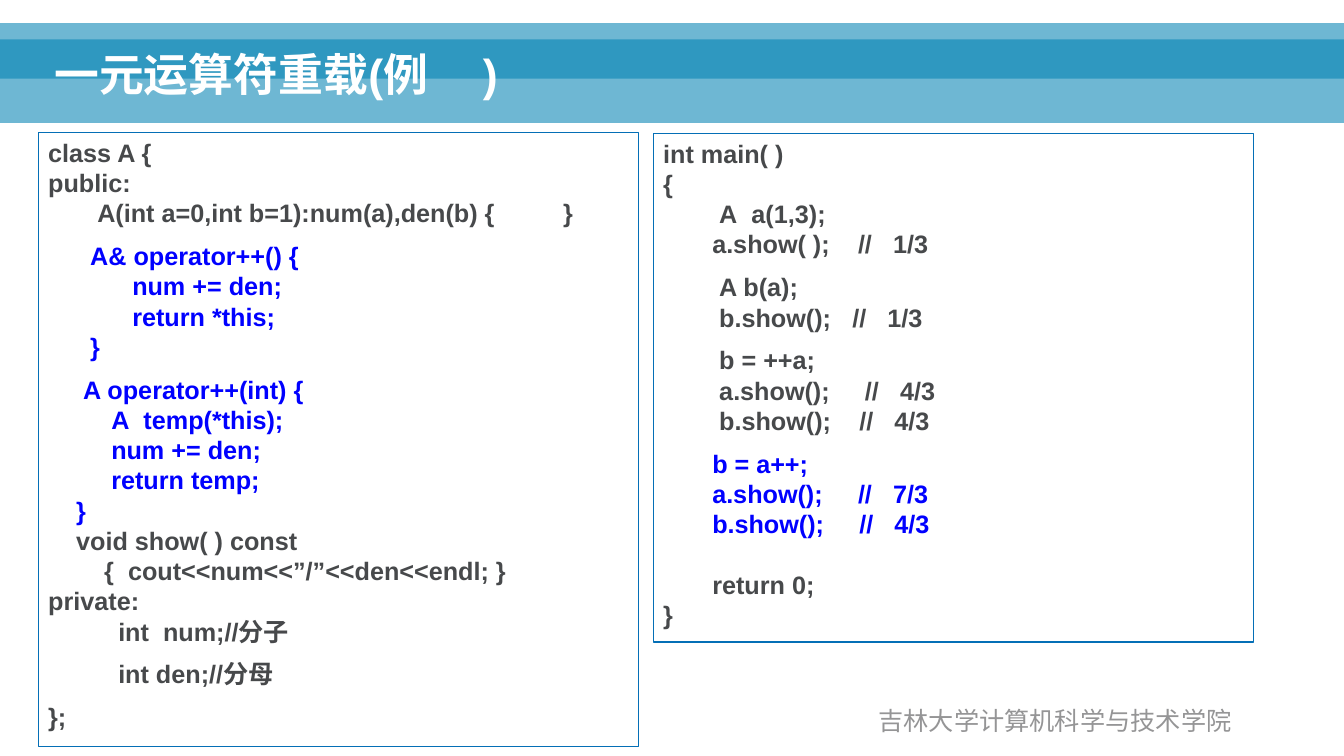
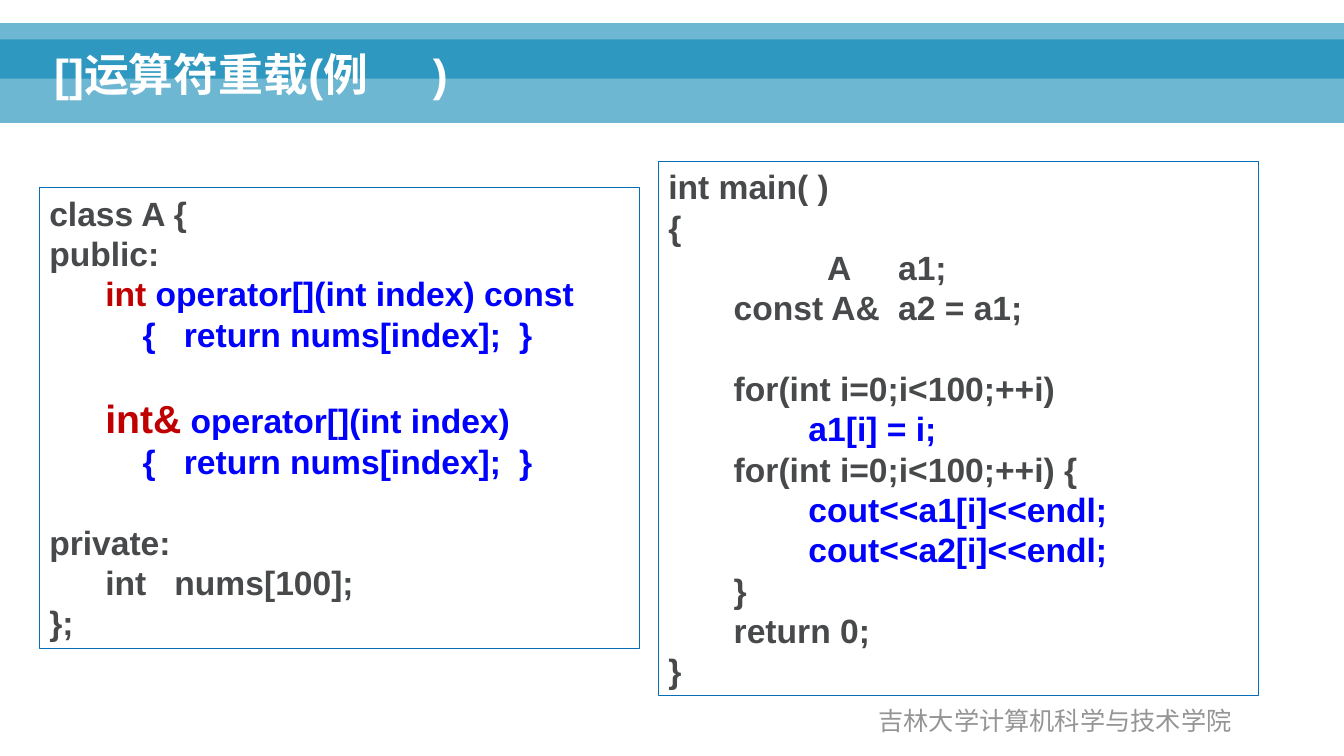
from dataclasses import dataclass

from lxml import etree
from pptx import Presentation, util as u
from pptx.dml import color
from pptx.enum import shapes, text
from pptx.oxml import ns

HALF, BLANK = 0.5, 1.2  # space above a row, in ems
LINE_PITCH = 1.2        # height of a code line, in ems
SPACE = 0.278           # width of one code column, in ems


@dataclass(frozen=True)
class Theme:
    """Colours, font and type sizes of the deck."""
    font: str = "Arial"
    band: str = "0082B3"
    band_alpha: int = 57
    white: str = "FFFFFF"
    ink: str = "47494B"
    blue: str = "0000FF"
    red: str = "C00000"
    border: str = "046FB6"
    muted: str = "959596"
    title_size: int = 32
    code_small: int = 18
    code_large: int = 24
    code_accent: int = 28
    footer_size: int = 18


THEME = Theme()


@dataclass(frozen=True)
class Area:
    """A rectangle in percent of the slide's width and height."""
    left: float
    top: float
    width: float
    height: float


@dataclass(frozen=True)
class Row:
    """A line of code; stops are tab positions in code columns."""
    text: str
    stops: tuple[float, ...] = ()
    tone: str = THEME.ink
    before: float = 0
    lead: str = ""
    lead_size: int | None = None


@dataclass(frozen=True)
class Listing:
    """A bordered box of code."""
    area: Area
    size: int
    rows: tuple[Row, ...]


@dataclass(frozen=True)
class Page:
    """One slide: a title, the stop of its last bracket, and its code."""
    title: str
    title_stop: float
    listings: tuple[Listing, ...]


BANDS = (Area(0, 5.2, 100, 11.07), Area(0, 3.07, 100, 7.33))
TITLE_AREA = Area(3.3, 3.6, 58.06, 10.4)
FOOTER_AREA = Area(57.5, 92.67, 42, 5.33)
FOOTER = "吉林大学计算机科学与技术学院"
CODE_WIDTH = 44.64


def blue(code: str, *stops: float, before: float = 0) -> Row:
    """Return a highlighted row."""
    return Row(code, stops, THEME.blue, before)


def show(call: str, value: str, indent: float, comment: float,
         tone: str = THEME.ink) -> Row:
    """Return a call followed by its output as a comment."""
    return Row(f"\t{call};\t//\t{value}", (indent, comment, comment + 5), tone)


def subscript(result: str, rest: str, before: float = 0,
              size: int | None = None) -> tuple[Row, Row]:
    """Return both rows of a subscript operator with its type in red."""
    return (Row(f" operator[](int index){rest}", (6,), THEME.blue, before,
                f"\t{result}", size),
            blue("\t{\treturn nums[index];\t}", 10, 14.4, 50.3))


PAGES = (
    Page("一元运算符重载(例\t)", 34.4, (
        Listing(Area(2.85, 17.47, CODE_WIDTH, 81.33), THEME.code_small, (
            Row("class A {"),
            Row("public:"),
            Row("\tA(int a=0,int b=1):num(a),den(b) {\t}", (7, 73.5)),
            blue("\tA& operator++() {", 6, before=HALF),
            blue("\tnum += den;", 12),
            blue("\treturn *this;", 12),
            blue("\t}", 6),
            blue("\tA operator++(int) {", 5, before=HALF),
            blue("\tA\ttemp(*this);", 9, 13.6),
            blue("\tnum += den;", 9),
            blue("\treturn temp;", 9),
            blue("\t}", 4),
            Row("\tvoid show( ) const", (4,)),
            Row("\t{\tcout<<num<<”/”<<den<<endl; }", (8, 11.4)),
            Row("private:"),
            Row("\tint\tnum;//分子", (10, 16.4)),
            Row("\tint den;//分母", (10,), before=HALF),
            Row("};", before=HALF),
        )),
        Listing(Area(48.61, 17.6, CODE_WIDTH, 67.33), THEME.code_small, (
            Row("int main( )"),
            Row("{"),
            Row("\tA\ta(1,3);", (8, 12.6)),
            show("a.show( )", "1/3", 7, 27.8),
            Row("\tA b(a);", (8,), before=HALF),
            show("b.show()", "1/3", 8, 27),
            Row("\tb = ++a;", (8,), before=HALF),
            show("a.show()", "4/3", 8, 28.8),
            show("b.show()", "4/3", 8, 28),
            blue("\tb = a++;", 7, before=HALF),
            show("a.show()", "7/3", 7, 27.8, THEME.blue),
            show("b.show()", "4/3", 7, 28, THEME.blue),
            Row("\treturn 0;", (7,), before=BLANK),
            Row("}"),
        )),
    )),
    Page("[]运算符重载(例\t)", 30.4, (
        Listing(Area(2.93, 24.8, CODE_WIDTH, 60.93), THEME.code_large, (
            Row("class A {"),
            Row("public:"),
            *subscript("int", " const"),
            *subscript("int&", "", BLANK, THEME.code_accent),
            Row("private:", before=BLANK),
            Row("\tint\tnums[100];", (6, 13.4)),
            Row("};"),
        )),
        Listing(Area(48.99, 21.33, CODE_WIDTH, 70.67), THEME.code_large, (
            Row("int main( )"),
            Row("{"),
            Row("\tA\ta1;", (17, 24.6)),
            Row("\tconst A&\ta2 = a1;", (7, 24.6)),
            Row("\tfor(int i=0;i<100;++i)", (7,), before=BLANK),
            blue("\ta1[i] = i;", 15),
            Row("\tfor(int i=0;i<100;++i) {", (7,)),
            blue("\tcout<<a1[i]<<endl;", 15),
            blue("\tcout<<a2[i]<<endl;", 15),
            Row("\t}", (7,)),
            Row("\treturn 0;", (7,)),
            Row("}"),
        )),
    )),
)


def place(deck, area: Area) -> tuple[int, int, int, int]:
    """Turn percentages into slide lengths."""
    across, down = deck.slide_width / 100, deck.slide_height / 100
    return (round(area.left * across), round(area.top * down),
            round(area.width * across), round(area.height * down))


def add_span(para, words: str, *, size: int, tone: str,
             bold: bool = False) -> None:
    """Add formatted text to a paragraph."""
    span = para.add_run()
    span.text = words
    span.font.name = THEME.font
    span.font.size = u.Pt(size)
    span.font.bold = bold
    span.font.color.rgb = color.RGBColor.from_string(tone)


def set_stops(para, stops: tuple[float, ...], size: int) -> None:
    """Set left tab stops, given in code columns."""
    if not stops:
        return
    tabs = etree.SubElement(para._p.get_or_add_pPr(), ns.qn("a:tabLst"))
    for stop in stops:
        etree.SubElement(tabs, ns.qn("a:tab"), algn="l",
                         pos=str(u.Pt(stop * SPACE * size)))


def add_rectangle(deck, page, area: Area, fill: str, *,
                  alpha: int | None = None, border: str | None = None):
    """Draw a flat rectangle."""
    box = page.shapes.add_shape(shapes.MSO_SHAPE.RECTANGLE,
                                *place(deck, area))
    box.shadow.inherit = False
    box.fill.solid()
    box.fill.fore_color.rgb = color.RGBColor.from_string(fill)
    if alpha is not None:
        tint = box.fill._xPr.find(".//" + ns.qn("a:srgbClr"))
        etree.SubElement(tint, ns.qn("a:alpha"), val=str(alpha * 1000))
    if border:
        box.line.color.rgb = color.RGBColor.from_string(border)
        box.line.width = u.Pt(0.75)
    else:
        box.line.fill.background()
    return box


def add_label(deck, page, area: Area, words: str, *, size: int, tone: str,
              anchor, align, bold: bool = False, spacing: float = 1.0,
              stops: tuple[float, ...] = ()) -> None:
    """Add a one-line text box."""
    box = page.shapes.add_textbox(*place(deck, area))
    box.text_frame.word_wrap = True
    box.text_frame.vertical_anchor = anchor
    para = box.text_frame.paragraphs[0]
    para.alignment = align
    para.line_spacing = spacing
    set_stops(para, stops, size)
    add_span(para, words, size=size, tone=tone, bold=bold)


def add_listing(deck, page, listing: Listing) -> None:
    """Draw a code box, one paragraph to a row."""
    box = add_rectangle(deck, page, listing.area, THEME.white,
                        border=THEME.border)
    frame = box.text_frame
    frame.word_wrap = True
    frame.vertical_anchor = text.MSO_ANCHOR.TOP
    for index, row in enumerate(listing.rows):
        para = frame.add_paragraph() if index else frame.paragraphs[0]
        lead_size = row.lead_size or listing.size
        para.alignment = text.PP_ALIGN.LEFT
        para.line_spacing = u.Pt(LINE_PITCH * lead_size)
        para.space_before = u.Pt(row.before * listing.size)
        set_stops(para, row.stops, listing.size)
        if row.lead:
            add_span(para, row.lead, size=lead_size, tone=THEME.red, bold=True)
        add_span(para, row.text, size=listing.size, tone=row.tone, bold=True)


def add_page(deck, content: Page) -> None:
    """Build a slide with bands, title, footer and code."""
    page = deck.slides.add_slide(deck.slide_layouts[6])
    for band in BANDS:
        add_rectangle(deck, page, band, THEME.band, alpha=THEME.band_alpha)
    add_label(deck, page, TITLE_AREA, content.title, size=THEME.title_size,
              tone=THEME.white, anchor=text.MSO_ANCHOR.BOTTOM,
              align=text.PP_ALIGN.LEFT, bold=True, spacing=0.9,
              stops=(content.title_stop,))
    add_label(deck, page, FOOTER_AREA, FOOTER, size=THEME.footer_size,
              tone=THEME.muted, anchor=text.MSO_ANCHOR.MIDDLE,
              align=text.PP_ALIGN.CENTER)
    for listing in content.listings:
        add_listing(deck, page, listing)


def main() -> None:
    """Build and save the deck."""
    deck = Presentation()
    deck.slide_width, deck.slide_height = u.Inches(13.33), u.Inches(7.5)
    for content in PAGES:
        add_page(deck, content)
    deck.save("out.pptx")


main()
